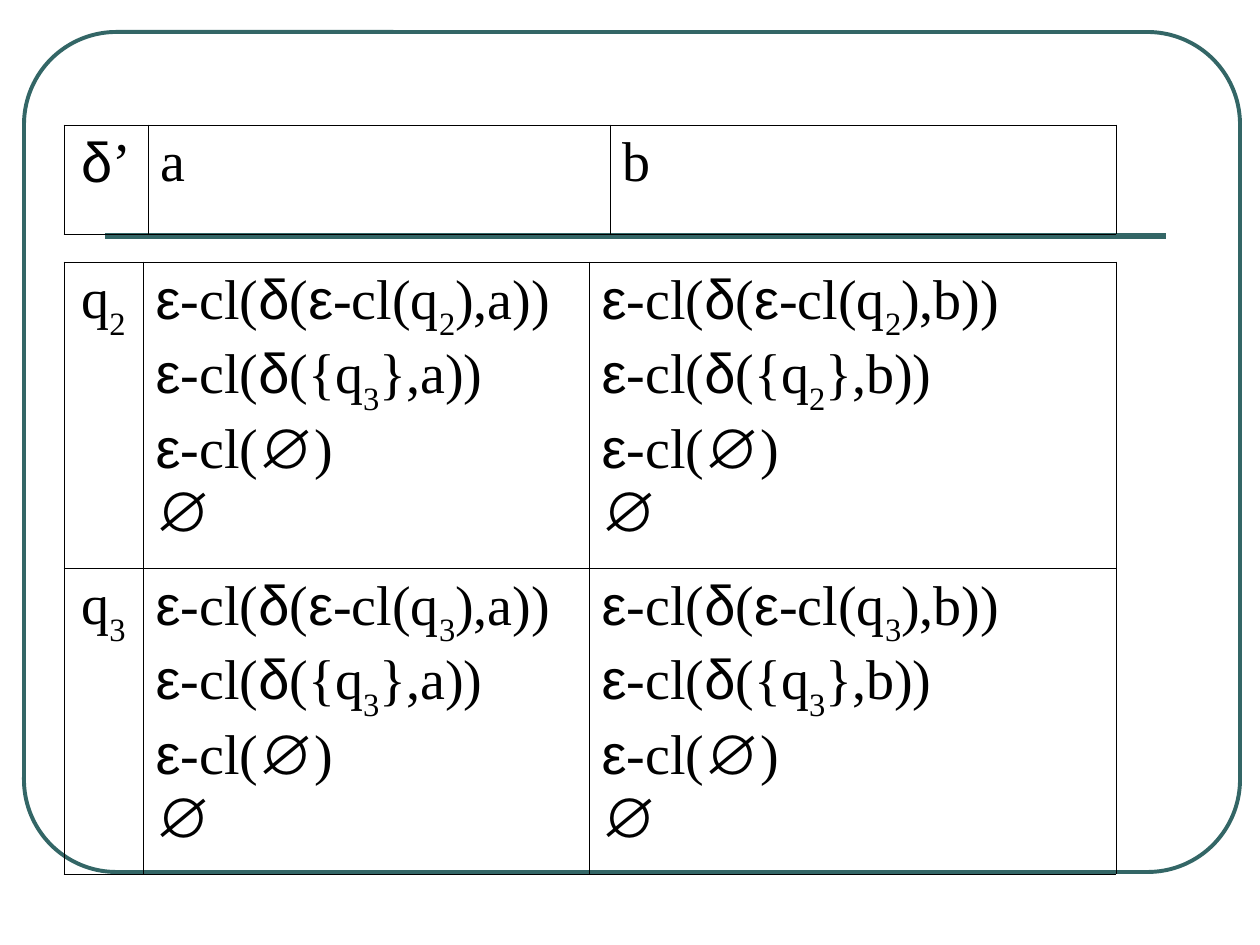
import itertools
import pptx
import pptx.util
import pptx.dml.color
import pptx.enum.shapes
import pptx.enum.text
import pptx.oxml
import pptx.oxml.ns

SCALE = 914400 // 126
TEAL, BLACK = "336666", "000000"


def steps(state, reach, sign):
    return [f"ε-cl(δ(ε-cl({state}),{sign}))", f"ε-cl(δ({{{reach}}},{sign}))", "ε-cl(∅)", "∅"]


TABLES = [
    {"top": 262, "cols": [79, 446, 527], "high": 306, "rows": [
        [["q2"], steps("q2", "q3", "a"), steps("q2", "q2", "b")],
        [["q3"], steps("q3", "q3", "a"), steps("q3", "q3", "b")],
    ]},
    {"top": 125, "cols": [84, 462, 506], "high": 109, "rows": [[["δ’"], ["a"], ["b"]]]},
]
LEFT = 64


def px(n):
    return pptx.util.Emu(n * SCALE)


def color(code):
    return pptx.dml.color.RGBColor.from_string(code)


def kind(char):
    if char in "εδ∅":
        return "Arial", False
    return "Times New Roman", char.isdigit()


def write(para, text):
    for (face, sub), chars in itertools.groupby(text, kind):
        run = para.add_run()
        run.text = "".join(chars)
        run.font.name = face
        run.font.size = pptx.util.Pt(32)
        run.font.color.rgb = color(BLACK)
        if sub:
            run.font._element.set("baseline", "-30000")


def border(cell):
    props = cell._tc.get_or_add_tcPr()
    for spot, side in enumerate(("lnL", "lnR", "lnT", "lnB")):
        props.insert(spot, pptx.oxml.parse_xml(
            f'<a:{side} {pptx.oxml.ns.nsdecls("a")} w="5715"><a:solidFill>'
            f'<a:srgbClr val="{BLACK}"/></a:solidFill></a:{side}>'))


def fill(cell, lines, center):
    cell.fill.background()
    border(cell)
    frame = cell.text_frame
    for i, text in enumerate(lines):
        para = frame.add_paragraph() if i else frame.paragraphs[0]
        if center:
            para.alignment = pptx.enum.text.PP_ALIGN.CENTER
        write(para, text)


def grid(slide, top, cols, high, rows):
    table = slide.shapes.add_table(
        len(rows), len(cols), px(LEFT), px(top), px(sum(cols)), px(high * len(rows))).table
    table.first_row = table.horz_banding = False
    for col, wide in zip(table.columns, cols):
        col.width = px(wide)
    for r, row in enumerate(rows):
        table.rows[r].height = px(high)
        for c, lines in enumerate(row):
            fill(table.cell(r, c), lines, c == 0)


def frame(slide):
    box = slide.shapes.add_shape(
        pptx.enum.shapes.MSO_SHAPE.ROUNDED_RECTANGLE, px(24), px(32), px(1216), px(840))
    box.adjustments[0] = 0.11
    box.shadow.inherit = False
    box.fill.background()
    box.line.color.rgb = color(TEAL)
    box.line.width = pptx.util.Pt(2.25)


def rule(slide):
    line = slide.shapes.add_connector(
        pptx.enum.shapes.MSO_CONNECTOR.STRAIGHT, px(105), px(236), px(1166), px(236))
    line.line.color.rgb = color(TEAL)
    line.line.width = pptx.util.Pt(3)
    line._element.spPr.append(
        pptx.oxml.parse_xml(f'<a:effectLst {pptx.oxml.ns.nsdecls("a")}/>'))


def main():
    deck = pptx.Presentation()
    deck.slide_width, deck.slide_height = px(1260), px(945)
    slide = deck.slides.add_slide(deck.slide_layouts[6])
    frame(slide)
    rule(slide)
    for table in TABLES:
        grid(slide, **table)
    deck.save("out.pptx")


if __name__ == "__main__":
    main()
